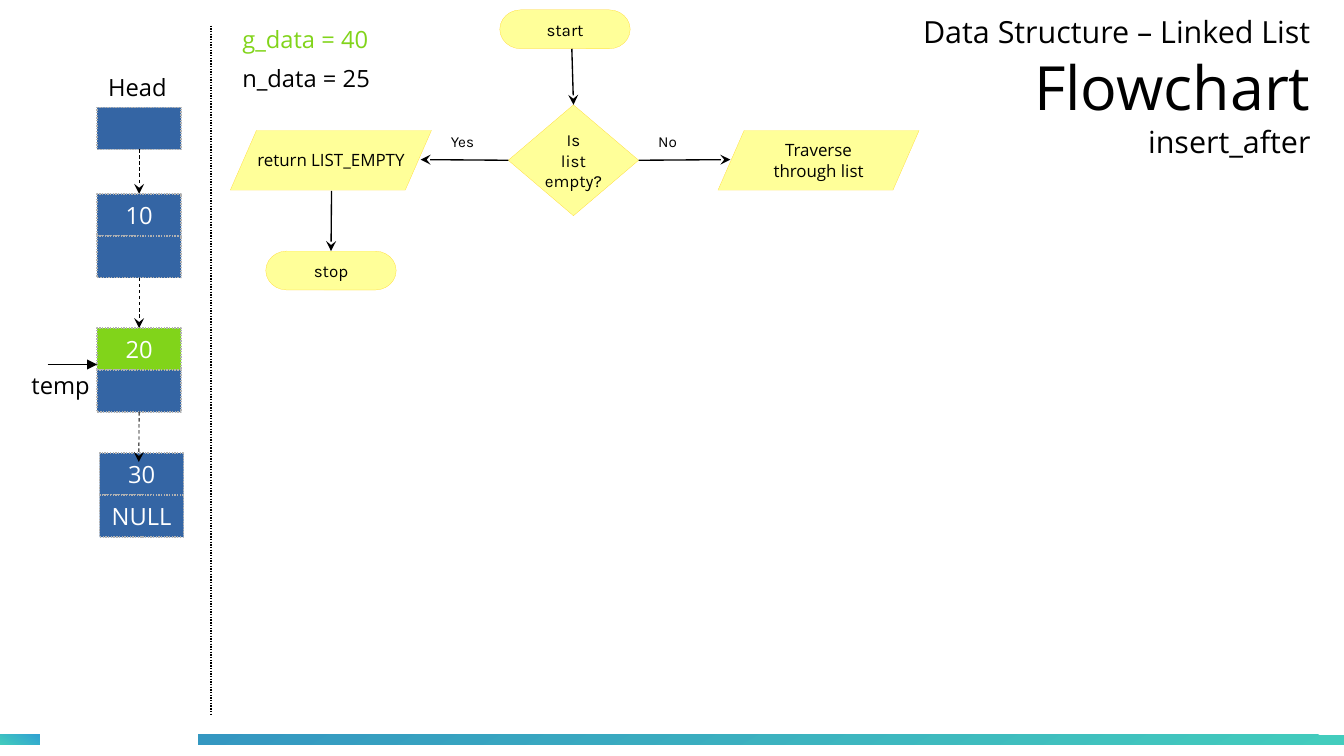
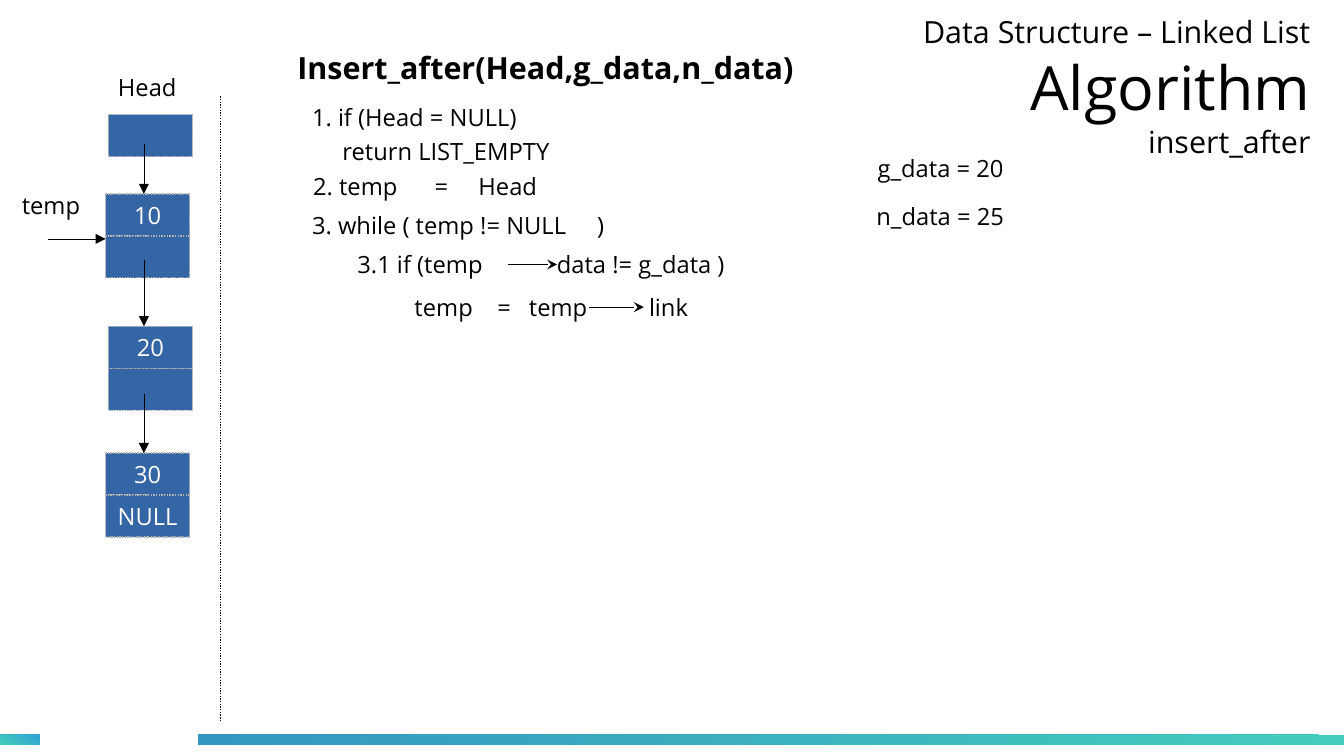
from dataclasses import dataclass

from lxml.etree import SubElement
from pptx import Presentation
from pptx.dml.color import RGBColor
from pptx.enum.dml import MSO_LINE_DASH_STYLE as Dash
from pptx.enum.shapes import MSO_CONNECTOR, MSO_SHAPE as Preset
from pptx.enum.text import MSO_ANCHOR as Anchor, PP_ALIGN as Align
from pptx.oxml.ns import qn
from pptx.util import Pt


@dataclass(frozen=True)
class Theme:
    black: str = "000000"
    white: str = "FFFFFF"
    green: str = "81D41A"
    node: str = "3465A4"
    node_line: str = "B2B2B2"
    flow: str = "FFFF99"
    flow_line: str = "FFD320"
    teal: str = "43CCBD"
    sky: str = "30A2D2"
    ocean: str = "3497C1"
    sans: str = "Open Sans"
    flow_font: str = "Karla"
    title: int = 36
    heading: int = 18
    body: int = 14
    step: int = 10
    note: int = 9
    thin: float = 0.79
    fine: float = 0.5
    hairline: float = 0.1


THEME = Theme()
SLIDE_SIZE = (793.7, 446.5)
CELL = (49.6, 24.8)
INSET = 7.2
TITLE_BOX = (524.9, -1.4, 249.1, 104.4)

# Text styles
BODY = dict(name=THEME.sans, size=THEME.body, color=THEME.black)
GREEN = BODY | dict(color=THEME.green)
CELL_TEXT = BODY | dict(color=THEME.white)
HEADING = BODY | dict(size=THEME.heading, bold=True)
TITLE = BODY | dict(size=THEME.title)
SUBTITLE = BODY | dict(size=THEME.heading)
NOTE = BODY | dict(name=THEME.flow_font, size=THEME.note)
STEP = BODY | dict(size=THEME.step)
KARLA_STEP = STEP | dict(name=THEME.flow_font)

# Connector styles
FLOW_ARROW = dict(width=THEME.thin, head="stealth")
LIST_ARROW = dict(width=THEME.fine, head="stealth", dash=Dash.DASH)
CODE_ARROW = dict(width=THEME.hairline, head="stealth")
POINTER = dict(width=THEME.hairline, head="triangle")
DIVIDER = dict(width=THEME.thin, dash=Dash.ROUND_DOT)

# Footer bars: left, width, angle, colours
BAR_TOP, BAR_HEIGHT = 433.9, 6
BARS = [
    (0, 23.4, 60, (THEME.teal, THEME.sky)),
    (117.1, 676.6, 120, (THEME.teal, THEME.ocean)),
]

# Flowchart sizes: preset, width, height
TERMINAL = (Preset.FLOWCHART_TERMINATOR, 77, 23)
DECISION = (Preset.FLOWCHART_DECISION, 77, 65.5)
DATA = (Preset.PARALLELOGRAM, 118.8, 35.3)
DATA_SLANT = 0.438

# A connector end is either (x, y) or (shape name, side).
SLIDES = [
    dict(
        title="Flowchart",
        nodes=[
            ("head", 57.4, 63.4, [""]),
            ("first", 57.4, 114.5, ["10", ""]),
            ("second", 57.4, 193.8, ["20", ""]),
            ("third", 58.9, 267.6, ["30", "NULL"]),
        ],
        marked="second.0",
        steps=[
            ("start", TERMINAL, 295.2, 5.8, ["start"], KARLA_STEP),
            ("empty", DECISION, 300.2, 61.9, ["Is", "list", "empty?"], KARLA_STEP),
            ("traverse", DATA, 424, 77, ["Traverse", "through list"], STEP),
            ("return", DATA, 136, 77, ["return LIST_EMPTY"], STEP),
            ("stop", TERMINAL, 157, 148.3, ["stop"], KARLA_STEP),
        ],
        labels=[
            ("Head", 56.8, 39.6, BODY),
            ("temp", 11.5, 215.3, BODY),
            ("g_data = 40", 136, 11.2, GREEN),
            ("n_data = 25", 136, 34.2, BODY),
            ("Yes", 259.2, 74.6, NOTE),
            ("No", 381.6, 74.6, NOTE),
        ],
        code=[],
        connectors=[
            ((124.6, 15.1), (124.6, 421.9), DIVIDER),
            ((337.7, 28.8), ("empty", 0), FLOW_ARROW),
            (("empty", 1), (248.4, 94.3), FLOW_ARROW),
            (("empty", 3), (431.3, 94.3), FLOW_ARROW),
            ((195.8, 112.8), ("stop", 0), FLOW_ARROW),
            (("head.0", 2), ("first.0", 0), LIST_ARROW),
            (("first.1", 2), ("second.0", 0), LIST_ARROW),
            (("second.1", 2), (82, 272.9), LIST_ARROW),
            ((28.1, 215.3), (57.4, 215.3), POINTER),
        ],
    ),
    dict(
        title="Algorithm",
        nodes=[
            ("head", 64, 67.7, [""]),
            ("first", 62.4, 114.5, ["10", ""]),
            ("second", 64, 192.7, ["20", ""]),
            ("third", 62.4, 267.6, ["30", "NULL"]),
        ],
        marked=None,
        steps=[],
        labels=[
            ("Head", 62.6, 39.6, BODY),
            ("temp", 5.8, 109.4, BODY),
            ("Insert_after(Head,g_data,n_data)", 168.5, 25.2, HEADING),
            ("g_data = 20", 511.2, 87.1, BODY),
            ("n_data = 25", 510.5, 115.9, BODY),
        ],
        # Each code line: top, then its pieces with their starts
        code=[
            (56.9, [(184.4, "1. if (Head = NULL)")]),
            (77, [(202.3, "return LIST_EMPTY")]),
            (97.9, [(185, "2. temp"), (256.8, "="), (282.7, "Head")]),
            (121, [(184.4, "3. while ( temp != NULL"), (352.8, ")")]),
            (144, [(211.2, "3.1 if (temp"), (329, "data != g_data )")]),
            (169.2, [(244.9, "temp"), (293.9, "="), (312.5, "temp"), (383.4, "link")]),
        ],
        connectors=[
            ((130.3, 56.9), (130.3, 425.5), DIVIDER),
            ((85, 85), (85, 114.5), POINTER),
            ((85, 153.4), (85, 192.7), POINTER),
            ((85, 232.6), (85, 267.6), POINTER),
            ((28.1, 141.1), (62.4, 141.1), POINTER),
            ((348, 181.4), (380.2, 181.4), CODE_ARROW),
            ((300.2, 156.2), (329, 156.2), CODE_ARROW),
        ],
    ),
]


def points(*values):
    return [Pt(value) for value in values]


def rgb(value):
    return RGBColor.from_string(value)


def write(shape, lines, align, anchor, wrap):
    """Fill a shape with one paragraph for each (text, style) pair."""
    frame = shape.text_frame
    frame.word_wrap = wrap
    frame.vertical_anchor = anchor
    for index, (text, style) in enumerate(lines):
        paragraph = frame.paragraphs[0] if index == 0 else frame.add_paragraph()
        paragraph.alignment = align
        run = paragraph.add_run()
        run.text = text
        values = style | dict(size=Pt(style["size"]))
        run.font.color.rgb = rgb(values.pop("color"))
        for key, value in values.items():
            setattr(run.font, key, value)
    return frame


def add_box(slide, preset, box, fill, line, width, dash=None):
    shape = slide.shapes.add_shape(preset, *points(*box))
    shape.shadow.inherit = False
    shape.fill.solid()
    shape.fill.fore_color.rgb = rgb(fill)
    shape.line.color.rgb = rgb(line)
    shape.line.width = Pt(width)
    if dash:
        shape.line.dash_style = dash
    return shape


def add_label(slide, text, left, top, style):
    width = len(text) * style["size"] * 0.62 + 20
    height = style["size"] * 1.4 + INSET
    box = slide.shapes.add_textbox(*points(left, top, width, height))
    write(box, [(text, style)], Align.LEFT, Anchor.TOP, True)


def add_frame(slide, title):
    """Footer bars and title block shared by the slides."""
    for left, width, angle, colors in BARS:
        bar = slide.shapes.add_shape(Preset.RECTANGLE, *points(left, BAR_TOP, width, BAR_HEIGHT))
        bar.shadow.inherit = False
        bar.line.fill.background()
        bar.fill.gradient()
        bar.fill.gradient_angle = angle
        for stop, color in zip(bar.fill.gradient_stops, colors):
            stop.color.rgb = rgb(color)
    box = slide.shapes.add_textbox(*points(*TITLE_BOX))
    lines = [("Data Structure – Linked List", SUBTITLE), (title, TITLE), ("insert_after", SUBTITLE)]
    frame = write(box, lines, Align.RIGHT, Anchor.MIDDLE, True)
    for side in ("left", "top", "right", "bottom"):
        setattr(frame, f"margin_{side}", 0)


def add_nodes(slide, nodes, marked):
    cells = {}
    width, height = CELL
    for node, left, top, texts in nodes:
        for row, text in enumerate(texts):
            name = f"{node}.{row}"
            fill = THEME.green if name == marked else THEME.node
            box = (left, top + row * height, width, height)
            cells[name] = add_box(slide, Preset.RECTANGLE, box, fill,
                                  THEME.node_line, THEME.thin, Dash.ROUND_DOT)
            if text:
                write(cells[name], [(text, CELL_TEXT)], Align.CENTER, Anchor.MIDDLE, False)
    return cells


def add_steps(slide, steps):
    shapes = {}
    for name, (preset, width, height), left, top, lines, style in steps:
        shape = add_box(slide, preset, (left, top, width, height),
                        THEME.flow, THEME.flow_line, THEME.hairline)
        if preset == Preset.PARALLELOGRAM:
            shape.adjustments[0] = DATA_SLANT
        write(shape, [(line, style) for line in lines], Align.CENTER, Anchor.MIDDLE, False)
        shapes[name] = shape
    return shapes


def add_line(slide, start, end, shapes, width, head=None, dash=None):
    ends = [(0, 0) if point[0] in shapes else point for point in (start, end)]
    line = slide.shapes.add_connector(MSO_CONNECTOR.STRAIGHT, *points(*ends[0], *ends[1]))
    for point, connect in ((start, line.begin_connect), (end, line.end_connect)):
        if point[0] in shapes:
            connect(shapes[point[0]], point[1])
    line.line.color.rgb = rgb(THEME.black)
    line.line.width = Pt(width)
    if dash:
        line.line.dash_style = dash
    properties = line._element.spPr
    if head:
        SubElement(properties.find(qn("a:ln")), qn("a:tailEnd"), type=head)
    SubElement(properties, qn("a:effectLst"))


def build_slide(presentation, content):
    slide = presentation.slides.add_slide(presentation.slide_layouts[6])
    add_frame(slide, content["title"])
    shapes = add_nodes(slide, content["nodes"], content["marked"])
    shapes |= add_steps(slide, content["steps"])
    for label in content["labels"]:
        add_label(slide, *label)
    for top, pieces in content["code"]:
        for start, text in pieces:
            add_label(slide, text, start - INSET, top, BODY)
    for start, end, style in content["connectors"]:
        add_line(slide, start, end, shapes, **style)


def main():
    presentation = Presentation()
    presentation.slide_width, presentation.slide_height = points(*SLIDE_SIZE)
    for content in SLIDES:
        build_slide(presentation, content)
    presentation.save("out.pptx")


if __name__ == "__main__":
    main()
